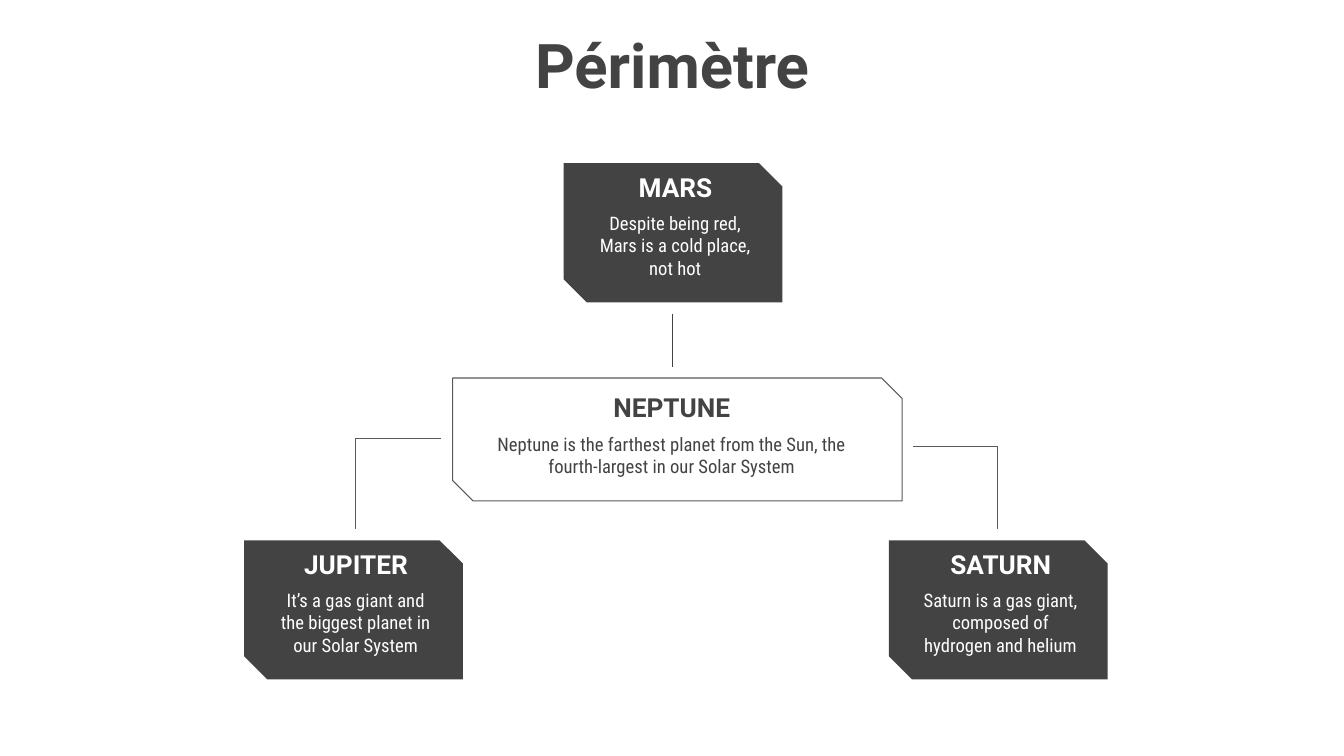
from lxml import etree
from pptx import Presentation
from pptx.dml.color import RGBColor
from pptx.enum import shapes, text
from pptx.oxml.ns import qn
from pptx.util import Pt

DARK, GREY, WHITE = "434343", "595959", "FFFFFF"
CARD_WIDTH, CARD_HEIGHT = 156.2, 99.4
HEADING_WIDTH, HEADING_HEIGHT = 150.5, 41
CARDS = [
    ("JUPITER", "It’s a gas giant and the biggest planet in our Solar System", 174.4, 385.9),
    ("SATURN", "Saturn is a gas giant, composed of hydrogen and helium", 635, 385.9),
    ("MARS", "Despite being red, Mars is a cold place, not hot", 402.6, 116.6),
]


def color(value):
    return RGBColor.from_string(value)


def add_text(page, words, left, top, width, height, *, size, font="Roboto",
             bold=False, ink=DARK, anchor=text.MSO_ANCHOR.TOP):
    box = page.shapes.add_textbox(Pt(left), Pt(top), Pt(width), Pt(height))
    frame = box.text_frame
    frame.word_wrap = True
    frame.vertical_anchor = anchor
    frame.margin_left = frame.margin_right = Pt(9.6)
    frame.margin_top = frame.margin_bottom = Pt(9.6)
    para = frame.paragraphs[0]
    para.alignment = text.PP_ALIGN.CENTER
    span = para.add_run()
    span.text = words
    span.font.name = font
    span.font.size = Pt(size)
    span.font.bold = bold
    span.font.color.rgb = color(ink)


def add_heading(page, words, left, top, ink):
    add_text(page, words, left, top, HEADING_WIDTH, HEADING_HEIGHT, size=18.7,
             bold=True, ink=ink, anchor=text.MSO_ANCHOR.BOTTOM)


def add_body(page, words, left, top, width, height, ink):
    add_text(page, words, left, top, width, height, size=13.3,
             font="Roboto Condensed", ink=ink)


def add_panel(page, left, top, width, height, fill=None, line=None):
    """Draw a rectangle with its top right and bottom left corners cut."""
    panel = page.shapes.add_shape(shapes.MSO_SHAPE.SNIP_2_DIAG_RECTANGLE,
                                  Pt(left), Pt(top), Pt(width), Pt(height))
    panel.shadow.inherit = False
    panel.adjustments[0] = 0
    panel.adjustments[1] = 0.167
    if fill:
        panel.fill.solid()
        panel.fill.fore_color.rgb = color(fill)
    else:
        panel.fill.background()
    if line:
        panel.line.color.rgb = color(line)
        panel.line.width = Pt(0.75)
    else:
        panel.line.fill.background()


def add_card(page, heading, body, left, top):
    add_panel(page, left, top, CARD_WIDTH, CARD_HEIGHT, fill=DARK)
    add_heading(page, heading, left + 4.6, top - 2.9, WHITE)
    add_body(page, body, left + 12, top + 25.2, 135.4, 65.5, WHITE)


def add_link(page, start, end, ink, corner=False):
    """Draw a straight line, or with corner one that runs across and then down."""
    kind = shapes.MSO_CONNECTOR.ELBOW if corner else shapes.MSO_CONNECTOR.STRAIGHT
    link = page.shapes.add_connector(kind, *(Pt(length) for length in start + end))
    link.line.color.rgb = color(ink)
    link.line.width = Pt(0.75)
    properties = link._element.spPr
    etree.SubElement(properties, qn("a:effectLst"))
    if corner:
        properties.find(qn("a:prstGeom")).set("prst", "bentConnector2")


def main():
    deck = Presentation()
    deck.slide_width, deck.slide_height = Pt(960), Pt(540)
    page = deck.slides.add_slide(deck.slide_layouts[6])

    add_text(page, "Périmètre", 206.6, 9.4, 547.2, 99.4, size=44, bold=True)
    for card in CARDS:
        add_card(page, *card)

    add_panel(page, 323.3, 270, 321.1, 87.8, line=GREY)
    add_heading(page, "NEPTUNE", 404.6, 270.7, DARK)
    add_body(page, "Neptune is the farthest planet from the Sun, "
             "the fourth-largest in our Solar System", 334.8, 299.5, 290.2, 86.4, DARK)

    add_link(page, (480.4, 224), (480.4, 262), DARK)
    add_link(page, (315.4, 313.2), (254, 378), GREY, corner=True)
    add_link(page, (652.3, 319), (712.8, 378), GREY, corner=True)
    deck.save("out.pptx")


if __name__ == "__main__":
    main()
